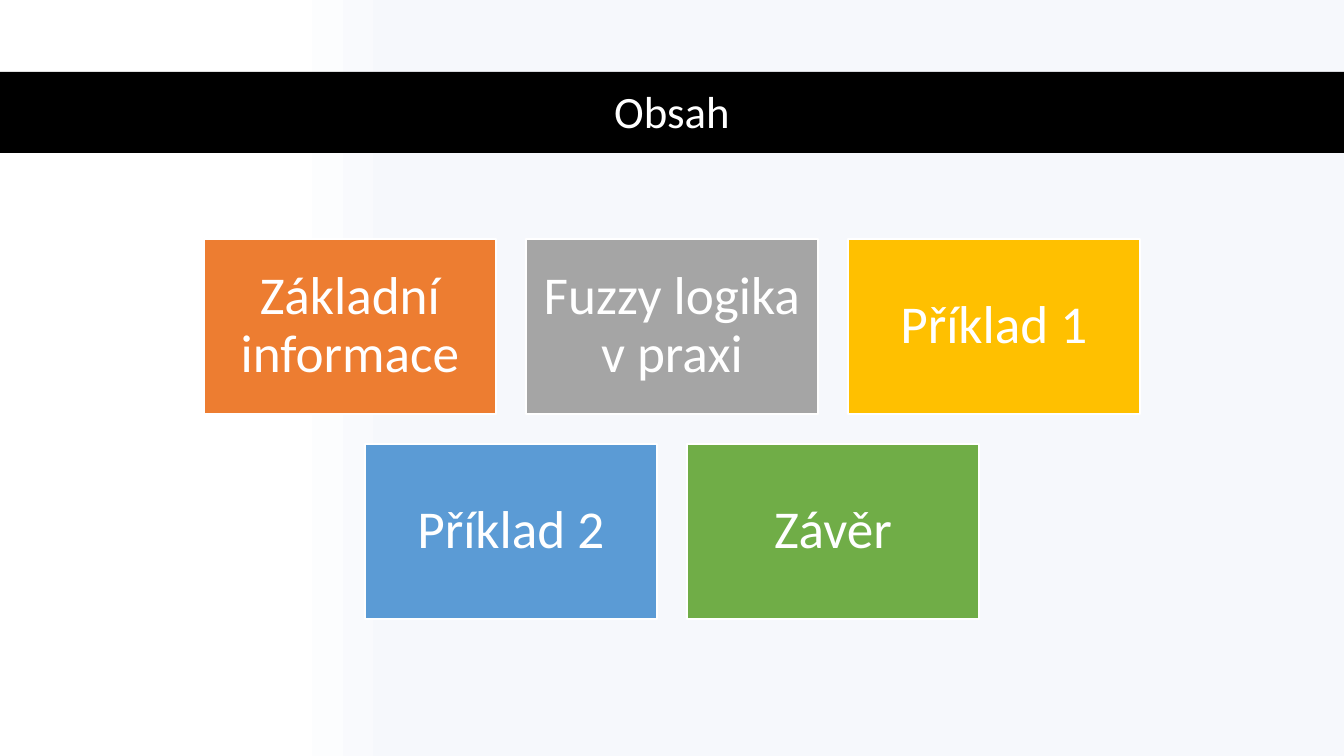
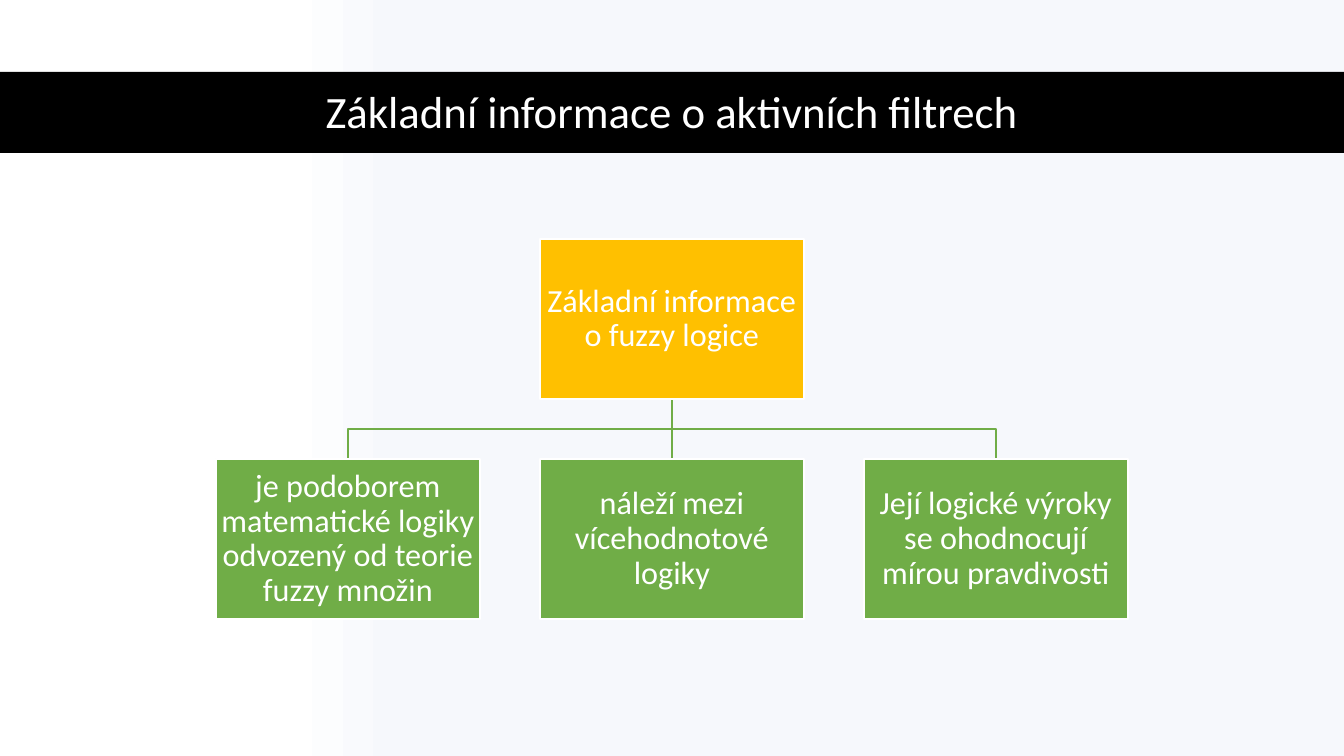
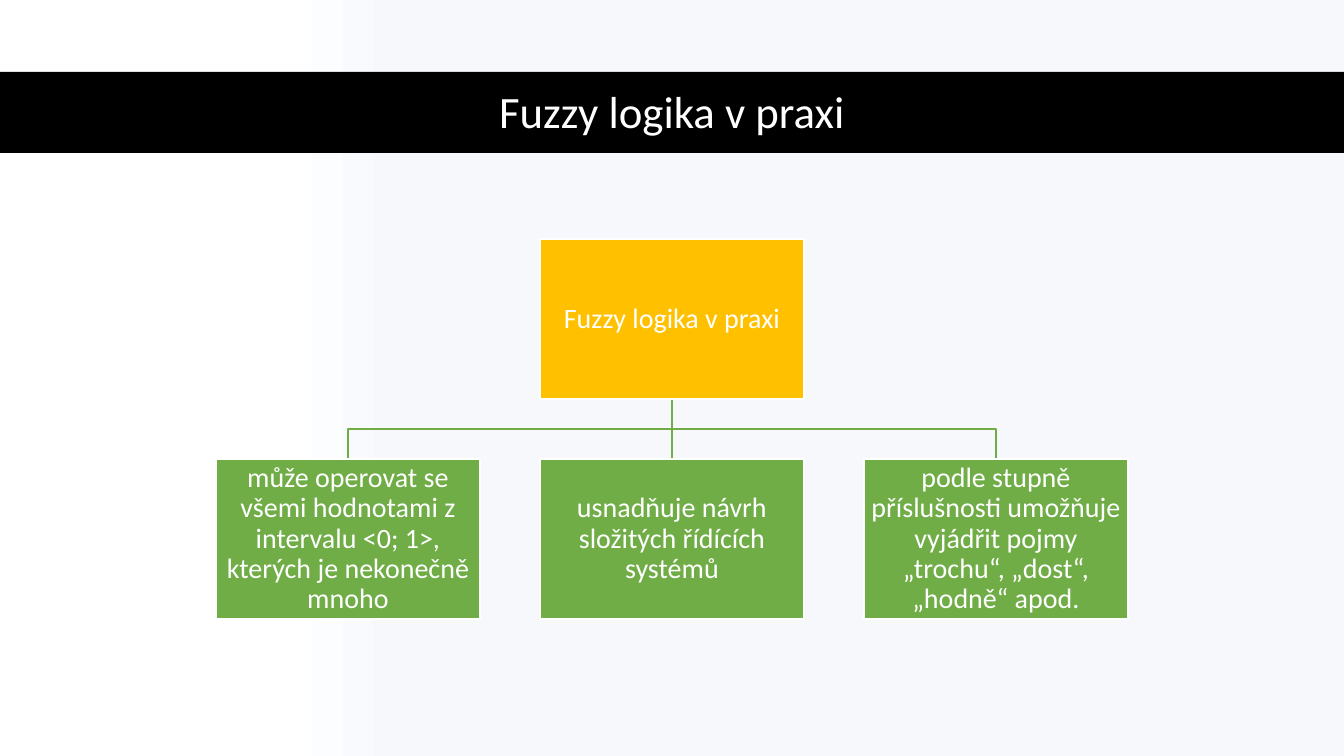
import pptx
import pptx.dml.color
import pptx.enum.shapes
import pptx.enum.text
import pptx.util
from lxml import etree
from pptx.oxml.ns import qn

SLIDE_W, SLIDE_H = 1344, 756
EMU_PER_PX = 12192000 / SLIDE_W
FONT = "Calibri"
WHITE, MIST, BLACK = "FFFFFF", "F6F8FC", "000000"
ORANGE, GREY, GOLD, BLUE, GREEN = "ED7D31", "A5A5A5", "FFC000", "5B9BD5", "70AD47"
CONTENT_TOP = 239
RECTANGLE = pptx.enum.shapes.MSO_SHAPE.RECTANGLE


def px(n):
    return pptx.util.Emu(round(n * EMU_PER_PX))


def rgb(color):
    return pptx.dml.color.RGBColor.from_string(color)


def send_behind(shape, front):
    front._element.addprevious(shape._element)


def set_line(shape, color, width):
    shape.line.color.rgb = rgb(color)
    shape.line.width = pptx.util.Pt(width)


def set_text(shape, text, size, inset):
    """Write one centred white paragraph in the middle of the shape."""
    tf = shape.text_frame
    tf.word_wrap = True
    tf.auto_size = pptx.enum.text.MSO_AUTO_SIZE.NONE
    tf.vertical_anchor = pptx.enum.text.MSO_ANCHOR.MIDDLE
    tf.margin_left = tf.margin_right = tf.margin_top = tf.margin_bottom = px(inset)
    p = tf.paragraphs[0]
    p.text = text
    p.alignment = pptx.enum.text.PP_ALIGN.CENTER
    p.line_spacing = 0.9
    p.font.name = FONT
    p.font.size = pptx.util.Pt(size)
    p.font.color.rgb = rgb(WHITE)


def add_rect(s, x, y, w, h, color):
    rect = s.shapes.add_shape(RECTANGLE, px(x), px(y), px(w), px(h))
    rect.shadow.inherit = False
    rect.fill.solid()
    rect.fill.fore_color.rgb = rgb(color)
    rect.line.fill.background()
    return rect


def add_row(s, y, w, h, gap, items, size, inset, border):
    """Add a centred row of boxes from (text, colour) pairs and return them."""
    left = (SLIDE_W - len(items) * w - (len(items) - 1) * gap) // 2
    boxes = []
    for i, (text, color) in enumerate(items):
        box = add_rect(s, left + i * (w + gap), y, w, h, color)
        set_line(box, WHITE, border)
        set_text(box, text, size, inset)
        boxes.append(box)
    return boxes


def add_branch(s, root, child):
    """Join the bottom of root to the top of child, stepping sideways if needed."""
    x1, y1 = root.left + root.width // 2, root.top + root.height
    x2, y2 = child.left + child.width // 2, child.top
    if abs(x1 - x2) < px(1):
        branch = s.shapes.add_connector(
            pptx.enum.shapes.MSO_CONNECTOR.STRAIGHT, x1, y1, x2, y2)
        branch.begin_connect(root, 2)
        branch.end_connect(child, 0)
        etree.SubElement(branch._element.spPr, qn("a:effectLst"))
    else:
        middle = (y1 + y2) // 2
        outline = s.shapes.build_freeform(x1, y1)
        outline.add_line_segments([(x1, middle), (x2, middle), (x2, y2)], close=False)
        branch = outline.convert_to_shape()
        branch.fill.background()
        branch.shadow.inherit = False
    set_line(branch, GREEN, 1)
    send_behind(branch, root)


def set_background(prs):
    fill = prs.slide_master.background.fill
    fill.gradient()
    fill.gradient_angle = 0
    for stop, position, color in zip(fill.gradient_stops, (0.21, 0.3), (WHITE, MIST)):
        stop.position = position
        stop.color.rgb = rgb(color)


def add_slide(prs, title):
    s = prs.slides.add_slide(prs.slide_layouts[5])
    heading = s.shapes.title
    heading.left, heading.top, heading.width, heading.height = map(px, (93, 75, 1158, 78))
    set_text(heading, title, 32, 5)
    send_behind(add_rect(s, 0, 72, SLIDE_W, 81, BLACK), heading)
    return s


def add_contents_slide(prs, title, rows):
    s = add_slide(prs, title)
    w, h, gap = 292, 175, 30
    for i, items in enumerate(rows):
        add_row(s, CONTENT_TOP + i * (h + gap), w, h, gap, items, 38, 16, 1.5)


def add_tree_slide(prs, title, topic, details, size, inset, border):
    s = add_slide(prs, title)
    w, h, gap = 264, 160, 60
    style = size, inset, border
    root, = add_row(s, CONTENT_TOP, w, h, gap, [(topic, GOLD)], *style)
    children = add_row(s, CONTENT_TOP + h + gap, w, h, gap,
                       [(text, GREEN) for text in details], *style)
    for child in children:
        add_branch(s, root, child)


def main():
    prs = pptx.Presentation()
    prs.slide_width, prs.slide_height = px(SLIDE_W), px(SLIDE_H)
    set_background(prs)
    add_contents_slide(prs, "Obsah", [
        [("Základní informace", ORANGE), ("Fuzzy logika v praxi", GREY), ("Příklad 1", GOLD)],
        [("Příklad 2", BLUE), ("Závěr", GREEN)],
    ])
    add_tree_slide(
        prs, "Základní informace o aktivních filtrech", "Základní informace o fuzzy logice",
        ["je podoborem matematické logiky odvozený od teorie fuzzy množin",
         "náleží mezi vícehodnotové logiky",
         "Její logické výroky se ohodnocují mírou pravdivosti"],
        size=23, inset=2, border=1.5)
    add_tree_slide(
        prs, "Fuzzy logika v praxi", "Fuzzy logika v praxi",
        ["může operovat se všemi hodnotami z intervalu <0; 1>, kterých je nekonečně mnoho",
         "usnadňuje návrh složitých řídících systémů",
         "podle stupně příslušnosti umožňuje vyjádřit pojmy „trochu“, „dost“, „hodně“ apod."],
        size=20, inset=1, border=1)
    prs.save("out.pptx")


if __name__ == "__main__":
    main()
